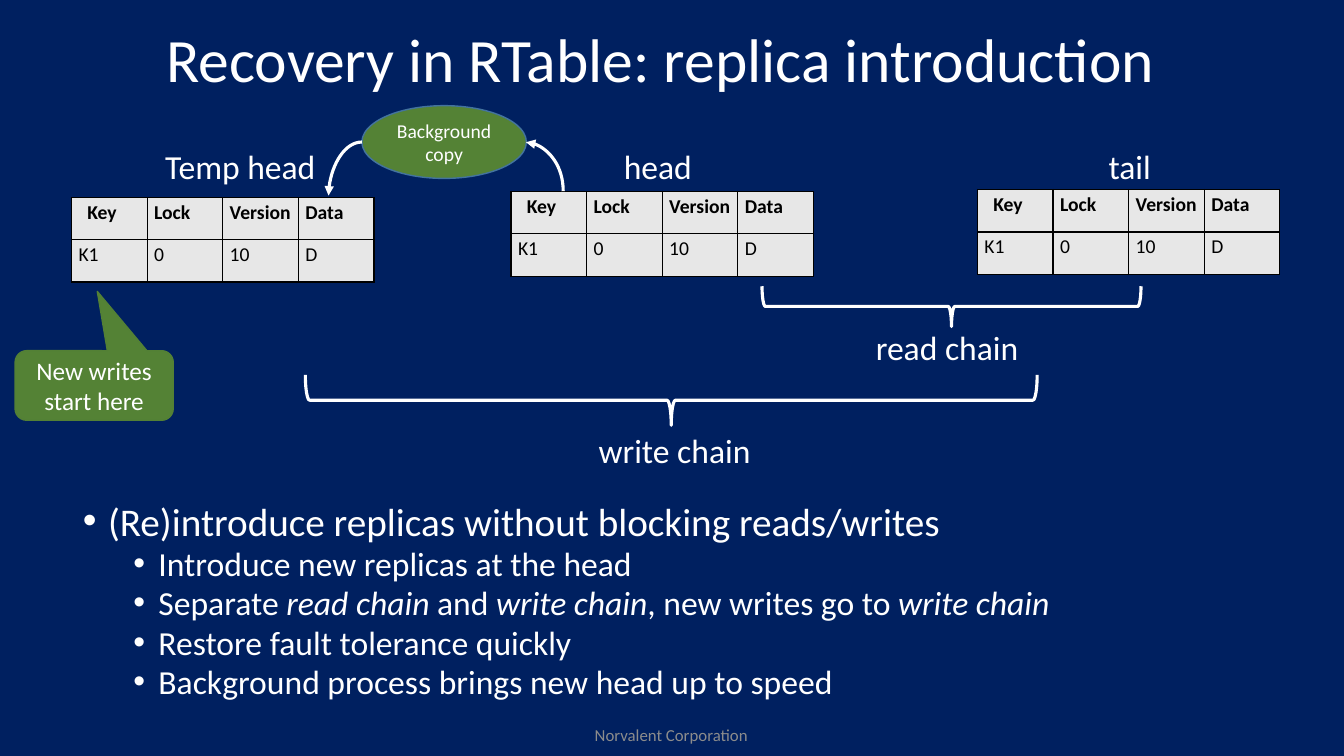
from lxml import etree
from pptx import Presentation
from pptx.dml.color import RGBColor
from pptx.enum.shapes import MSO_CONNECTOR, MSO_SHAPE
from pptx.enum.text import MSO_ANCHOR, MSO_AUTO_SIZE, PP_ALIGN
from pptx.oxml.ns import qn
from pptx.util import Pt

NAVY = RGBColor(0x00, 0x20, 0x60)
WHITE = RGBColor(0xFF, 0xFF, 0xFF)
BLACK = RGBColor(0x00, 0x00, 0x00)
PALE = RGBColor(0xE7, 0xE7, 0xE7)
GREEN = RGBColor(0x54, 0x82, 0x35)
MOSS = RGBColor(0x53, 0x80, 0x35)
BLUE = RGBColor(0x43, 0x73, 0x9E)
GRAY = RGBColor(0x8C, 0x8C, 0x8C)

CURVE = MSO_CONNECTOR.CURVE
BRACE = MSO_SHAPE.LEFT_BRACE
BUBBLE = MSO_SHAPE.ROUNDED_RECTANGULAR_CALLOUT
OVAL = MSO_SHAPE.OVAL
MIDDLE = MSO_ANCHOR.MIDDLE
FIXED = MSO_AUTO_SIZE.NONE
GROW = MSO_AUTO_SIZE.SHAPE_TO_FIT_TEXT
CENTER = PP_ALIGN.CENTER

FONT = "Calibri"
ROWS = [["Key", "Lock", "Version", "Data"], ["K1", "0", "10", "D"]]
COL, ROW = 54, 30.25
TABLES = [(51.1, 141), (365.05, 136.8), (698.2, 135.4)]
LABELS = [
    ("Temp head", 110.9, 100.8, 123),
    ("head", 438.5, 100.8, 64),
    ("tail", 784.8, 100.8, 45.4),
    ("read chain", 618.5, 229.7, 117.4),
    ("write chain", 420.5, 303.8, 123.8),
]
BRACES = [(665.3, 83.5, 28.8, 270.7), (461.5, 24.5, 36, 522.7)]
POINTS = [
    (0, [("(Re)introduce replicas without blocking reads/writes", False)]),
    (1, [("Introduce new replicas at the head", False)]),
    (1, [("Separate ", False), ("read chain ", True), ("and ", False),
         ("write chain", True), (", new writes go to ", False),
         ("write chain", True)]),
    (1, [("Restore fault tolerance quickly", False)]),
    (1, [("Background process brings new head up to speed", False)]),
]


def place(shape, box):
    shape.left, shape.top, shape.width, shape.height = map(Pt, box)


def add_run(para, text, size, color=WHITE, bold=False, slant=False):
    run = para.add_run()
    run.text = text
    font = run.font
    font.name, font.size = FONT, Pt(size)
    font.bold, font.italic = bold, slant
    font.color.rgb = color


def fill_text(frame, lines, size, color=WHITE):
    frame.word_wrap = True
    frame.vertical_anchor = MIDDLE
    for i, line in enumerate(lines):
        para = frame.add_paragraph() if i else frame.paragraphs[0]
        para.alignment = CENTER
        add_run(para, line, size, color)


def add_title(slide, text):
    title = slide.shapes.title
    place(title, (100, 0, 744, 90))
    frame = title.text_frame
    fill_text(frame, [text], 44)
    frame.auto_size = FIXED
    frame.paragraphs[0].line_spacing = 0.9


def add_list(slide):
    body = slide.placeholders[1]
    place(body, (52, 358, 872, 159))
    frame = body.text_frame
    frame.auto_size = FIXED
    for i, (level, runs) in enumerate(POINTS):
        para = frame.add_paragraph() if i else frame.paragraphs[0]
        para.level = level
        para.line_spacing = 0.8
        para.space_before = Pt(5 if i else 0)
        props = para._p.get_or_add_pPr()
        props.set("marL", str(Pt(18 + 36 * level)))
        props.set("indent", str(Pt(-18)))
        etree.SubElement(props, qn("a:buFont"), typeface="Arial")
        etree.SubElement(props, qn("a:buChar"), char="•")
        for text, slant in runs:
            add_run(para, text, 28 - 4 * level, slant=slant)


def add_border(cell):
    props = cell._tc.get_or_add_tcPr()
    for side in ("lnL", "lnR", "lnT", "lnB"):
        line = etree.SubElement(props, qn("a:" + side), w=str(Pt(1)))
        fill = etree.SubElement(line, qn("a:solidFill"))
        etree.SubElement(fill, qn("a:srgbClr"), val=str(BLACK))


def add_grid(slide, left, top):
    box = map(Pt, (left, top, 4 * COL, 2 * ROW))
    grid = slide.shapes.add_table(2, 4, *box).table
    for r, texts in enumerate(ROWS):
        grid.rows[r].height = Pt(ROW)
        for c, text in enumerate(texts):
            grid.columns[c].width = Pt(COL)
            cell = grid.cell(r, c)
            cell.margin_left = Pt(11.3 if text == "Key" else 5)
            cell.margin_right = Pt(5)
            cell.margin_top = cell.margin_bottom = Pt(2.2)
            add_border(cell)
            cell.fill.solid()
            cell.fill.fore_color.rgb = PALE
            para = cell.text_frame.paragraphs[0]
            add_run(para, text, 14, BLACK, bold=r == 0)


def add_label(slide, text, left, top, width):
    box = slide.shapes.add_textbox(Pt(left), Pt(top), Pt(width), Pt(36))
    frame = box.text_frame
    frame.word_wrap = False
    frame.auto_size = GROW
    add_run(frame.paragraphs[0], text, 24)


def add_form(shapes, kind, box, edge, width, fill=None):
    form = shapes.add_shape(kind, *map(Pt, box))
    form.shadow.inherit = False
    if fill is None:
        form.fill.background()
    else:
        form.fill.solid()
        form.fill.fore_color.rgb = fill
    form.line.color.rgb = edge
    form.line.width = Pt(width)
    return form


def add_curve(shapes, left, top, width, height, turn):
    ends = (left, top + height, left + width, top)
    curve = shapes.add_connector(CURVE, *map(Pt, ends))
    curve.line.color.rgb = WHITE
    curve.line.width = Pt(2.25)
    props = curve._element.spPr
    props.find(qn("a:xfrm")).set("rot", str(turn * 60000))
    props.find(qn("a:prstGeom")).set("prst", "curvedConnector2")
    etree.SubElement(props.find(qn("a:ln")), qn("a:tailEnd"), type="triangle")
    etree.SubElement(props, qn("a:effectLst"))


def add_copy(slide):
    shapes = slide.shapes.add_group_shape().shapes
    oval = add_form(shapes, OVAL, (258.5, 75.5, 117.5, 52), BLUE, 1, GREEN)
    fill_text(oval.text_frame, ["Background", "copy"], 14)
    add_curve(shapes, 371.5, 105.8, 35, 26.6, 270)
    add_curve(shapes, 234.7, 101.5, 23.8, 38.2, 180)


def add_note(slide):
    box = (10.8, 250.5, 113, 49.7)
    note = add_form(slide.shapes, BUBBLE, box, MOSS, 1, GREEN)
    for i, value in enumerate((0.02, -1.352, 0.167)):
        note.adjustments[i] = value
    fill_text(note.text_frame, ["New writes start here"], 18)


def add_foot(slide):
    box = map(Pt, (317.5, 510.5, 324, 28.8))
    foot = slide.shapes.add_textbox(*box)
    fill_text(foot.text_frame, ["Norvalent Corporation"], 12, GRAY)


def main():
    deck = Presentation()
    deck.slide_width, deck.slide_height = Pt(960), Pt(540)
    slide = deck.slides.add_slide(deck.slide_layouts[1])
    slide.background.fill.solid()
    slide.background.fill.fore_color.rgb = NAVY
    add_title(slide, "Recovery in RTable: replica introduction")
    add_list(slide)
    for spot in TABLES:
        add_grid(slide, *spot)
    for label in LABELS:
        add_label(slide, *label)
    for box in BRACES:
        add_form(slide.shapes, BRACE, box, WHITE, 2.25).rotation = 270
    add_note(slide)
    add_foot(slide)
    add_copy(slide)
    deck.save("out.pptx")


if __name__ == "__main__":
    main()
